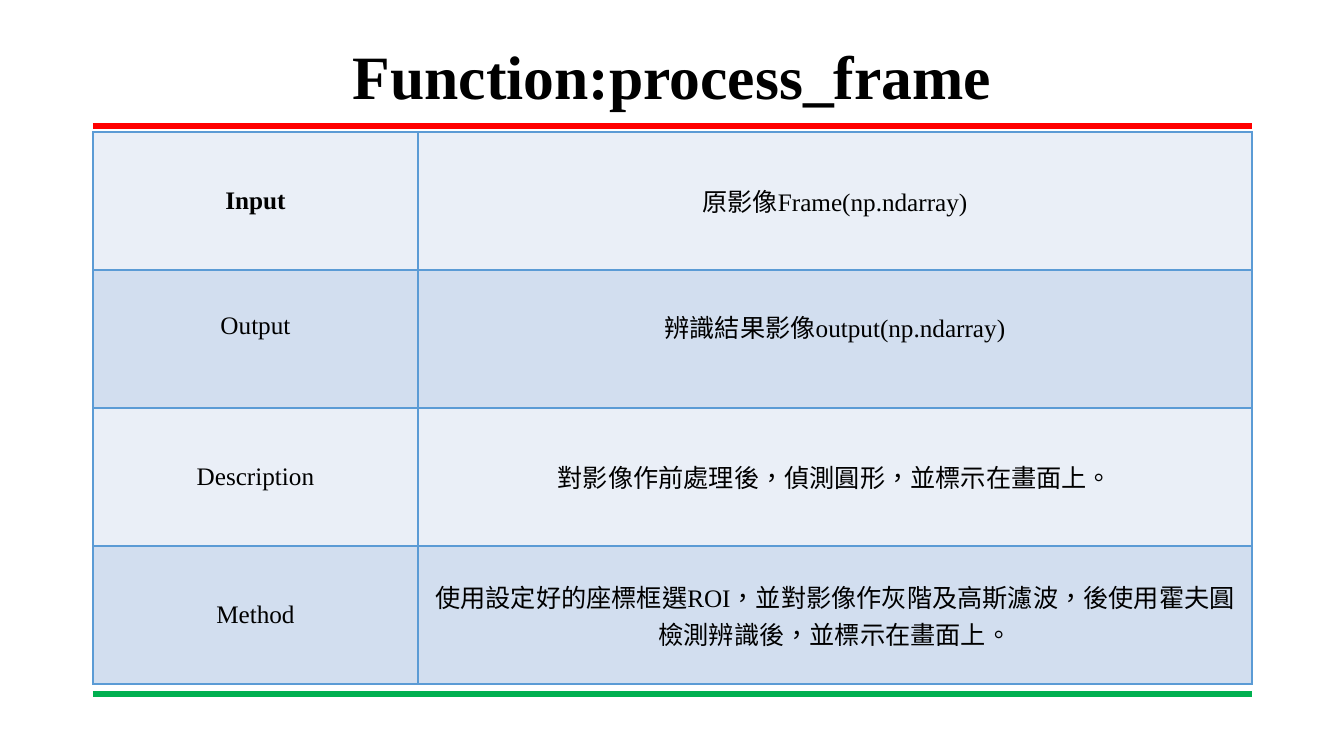
from lxml.etree import SubElement as Sub
from pptx import Presentation
from pptx.dml.color import RGBColor as RGB
from pptx.enum.lang import MSO_LANGUAGE_ID as LANG
from pptx.enum.shapes import MSO_CONNECTOR as LINK
from pptx.enum.text import MSO_ANCHOR as ANCHOR, PP_ALIGN as ALIGN
from pptx.oxml.ns import qn
from pptx.util import Pt

PX = 914400 / 100.8
FONT = "Times New Roman"
HUE = {"ink": "000000", "top": "FF0000", "end": "00B050",
       "edge": "5B9BD5", "pale": "EAEFF7", "deep": "D2DEEF"}
LEFT, WIDE = 93, 1159
COLS = (325, 834)
ROW = 138
ROWS = [
    ("Input", "原影像Frame(np.ndarray)"),
    ("Output", "辨識結果影像output(np.ndarray)"),
    ("Description", "對影像作前處理後，偵測圓形，並標示在畫面上。"),
    ("Method", "使用設定好的座標框選ROI，並對影像作灰階及高斯濾波，"
               "後使用霍夫圓檢測辨識後，並標示在畫面上。"),
]


def px(*nums):
    return [round(n * PX) for n in nums]


def write(frame, text, size, bold):
    para = frame.paragraphs[0]
    para.alignment = ALIGN.CENTER
    font = para.font
    font.name, font.size, font.bold = FONT, Pt(size), bold
    font.color.rgb = RGB.from_string(HUE["ink"])
    run = para.add_run()
    run.text = text
    run.font.language_id = LANG.TRADITIONAL_CHINESE
    return para


deck = Presentation()
deck.slide_width, deck.slide_height = px(1344, 756)
slide = deck.slides.add_slide(deck.slide_layouts[6])
shapes = slide.shapes

for y, hue in ((126, "top"), (694, "end")):
    rule = shapes.add_connector(LINK.STRAIGHT, *px(LEFT, y, LEFT + WIDE, y))
    rule.line.color.rgb = RGB.from_string(HUE[hue])
    rule.line.width = Pt(4.5)
    Sub(rule._element.spPr, qn("a:effectLst"))

grid = shapes.add_table(len(ROWS), 2, *px(LEFT, 132, WIDE, ROW * len(ROWS))).table
for col, wide in zip(grid.columns, COLS):
    col.width = px(wide)[0]

for r, words in enumerate(ROWS):
    grid.rows[r].height = px(ROW)[0]
    for c, text in enumerate(words):
        cell = grid.cell(r, c)
        cell.vertical_anchor = ANCHOR.MIDDLE
        if r == 1:
            cell.margin_bottom = px(31)[0]
        write(cell.text_frame, text, 18, r == c == 0)
        props = cell._tc.get_or_add_tcPr()
        for side in ("lnL", "lnR", "lnT", "lnB"):
            edge = Sub(props, qn("a:" + side), w=str(Pt(1)))
            fill = Sub(edge, qn("a:solidFill"))
            Sub(fill, qn("a:srgbClr"), val=HUE["edge"])
        cell.fill.solid()
        cell.fill.fore_color.rgb = RGB.from_string(HUE["deep" if r % 2 else "pale"])

title = shapes.add_textbox(*px(LEFT, 40, WIDE, 80)).text_frame
title.word_wrap = True
title.vertical_anchor = ANCHOR.MIDDLE
write(title, "Function:process_frame", 44, True).line_spacing = 0.9

deck.save("out.pptx")
